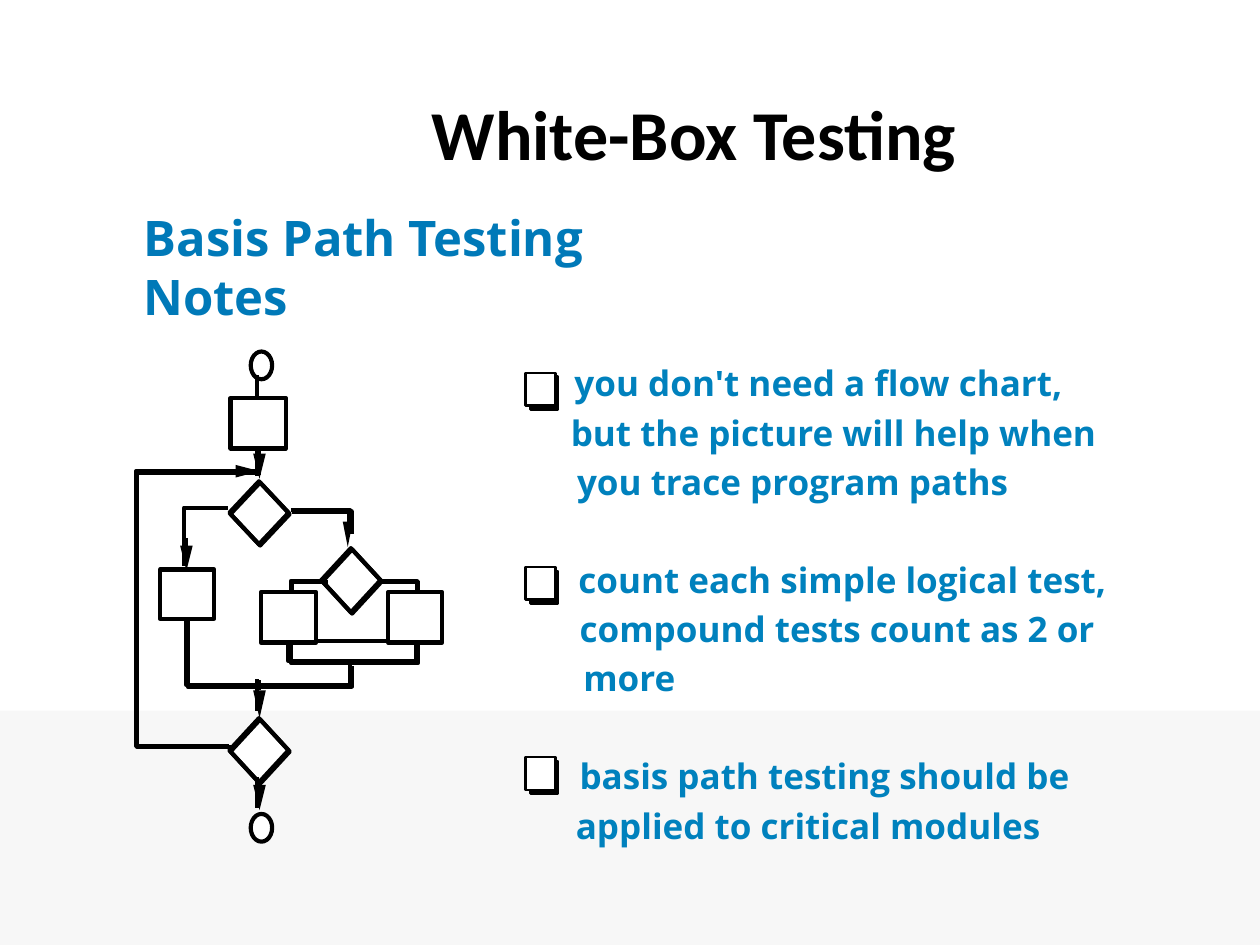
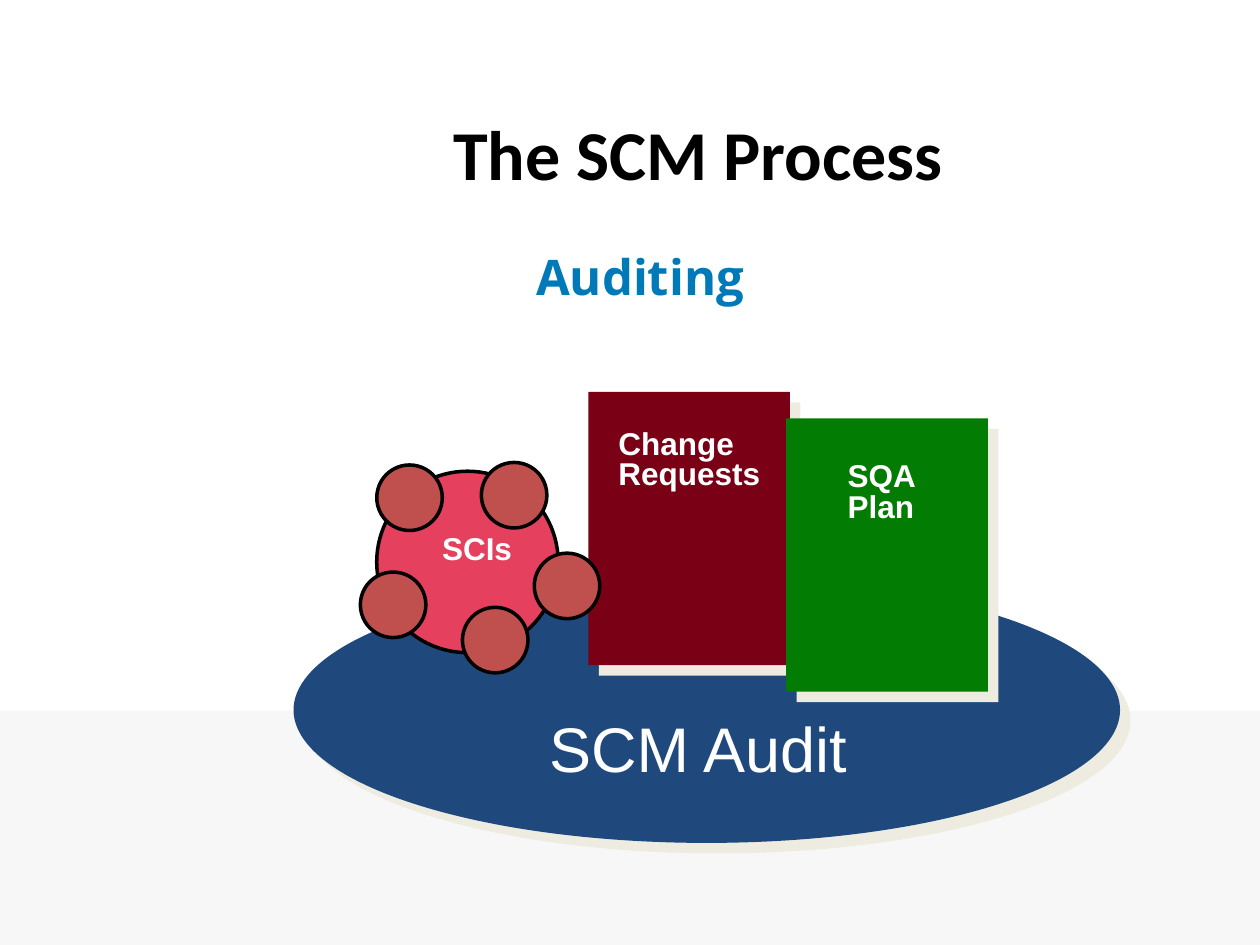
from dataclasses import dataclass
from typing import NamedTuple, Optional

from lxml.etree import SubElement
from pptx import Presentation
from pptx.dml.color import RGBColor
from pptx.enum.shapes import MSO_CONNECTOR, MSO_SHAPE
from pptx.enum.text import MSO_ANCHOR, MSO_AUTO_SIZE, PP_ALIGN
from pptx.oxml.ns import qn
from pptx.util import Inches, Pt


class TextStyle(NamedTuple):
    name: str
    size: float
    color: str
    bold: bool = True
    spacing: float = 1.0
    inset: tuple[float, float] = (0.1, 0.05)


@dataclass(frozen=True)
class Theme:
    black: str = "000000"
    white: str = "FFFFFF"
    band: str = "F7F7F7"
    shadow: str = "EEECE1"
    platform: str = "1F497D"
    requests: str = "790015"
    plan: str = "037C03"
    core: str = "E5405D"
    item: str = "C0504D"
    thick: float = 2.38
    medium: float = 2
    thin: float = 1.39
    heading: TextStyle = TextStyle("Calibri", 40, "000000")
    title: TextStyle = TextStyle("Open Sans", 28, "0079B8", inset=(0.07, 0.03))
    note: TextStyle = TextStyle("Open Sans", 20, "0081BD", spacing=0.9, inset=(0, 0))
    label: TextStyle = TextStyle("Arial", 18, "FFFFFF")
    card: TextStyle = TextStyle("Arial", 18, "FFFFFF", spacing=0.8)
    caption: TextStyle = TextStyle("Arial", 36, "FFFFFF", bold=False)


THEME = Theme()
Point = tuple[float, float]


class Frame(NamedTuple):
    left: float
    top: float
    width: float
    height: float

    def moved(self, distance: float) -> "Frame":
        return self._replace(left=self.left + distance, top=self.top + distance)


class Line(NamedTuple):
    color: str
    width: float


class Arrow(NamedTuple):
    """A filled head ending at tip, with a thin stem behind it."""
    tip: Point
    length: float
    half_width: float
    stem: float
    rightward: bool = False


class NoteLine(NamedTuple):
    left: float
    width: float
    text: str


class Note(NamedTuple):
    marker_top: float
    first_row: int
    lines: list[NoteLine]


class Card(NamedTuple):
    frame: Frame
    color: str
    text_frame: Frame
    text: str


STROKE = Line(THEME.black, THEME.thick)
THIN = Line(THEME.black, THEME.thin)
OUTLINE = Line(THEME.black, THEME.medium)
ECHO = -0.01  # distance to the second stroke of a heavy outline
NOTE_TOP, NOTE_PITCH = 2.91, 0.39

DIAMONDS = [Frame(2.56, 4.36, 0.47, 0.51), Frame(1.83, 3.83, 0.47, 0.5),
            Frame(1.83, 5.71, 0.47, 0.51)]
TERMINALS = [Frame(1.99, top, 0.17, 0.22) for top in (2.79, 6.46)]
STEPS = [Frame(1.83, 3.16, 0.44, 0.4), Frame(2.07, 4.7, 0.44, 0.4),
         Frame(3.08, 4.7, 0.43, 0.4), Frame(1.27, 4.52, 0.43, 0.39)]
INNER_JOIN = Frame(2.29, 5.09, 1.01, 0.16)
LEFT_BRANCH = [(1.81, 4.03), (1.46, 4.03), (1.46, 4.49)]
HEAVY_PATHS = [
    [(2.32, 4.06), (2.79, 4.06), (2.79, 4.24)],
    [(3.03, 4.62), (3.32, 4.62), (3.32, 4.87)],
    [(2.6, 4.62), (2.32, 4.62), (2.32, 4.95)],
    [(1.83, 5.93), (1.09, 5.93), (1.09, 3.75), (2.07, 3.75)],
    [(2.79, 5.29), (2.79, 5.45), (1.49, 5.45), (1.49, 4.92)],
]
INNER_JOIN_PATH = [(2.31, 5.11), (2.31, 5.26), (3.32, 5.26), (3.32, 5.11)]
FLOW_X = 2.04
FLOW_SPANS = [(2.98, 3.78), (5.39, 5.64), (6.17, 6.41)]
ARROWS = [
    Arrow((2.06, 3.74), 0.19, 0.05, 0.02, rightward=True),
    Arrow((2.76, 4.34), 0.2, 0.04, 0.09),
    Arrow((1.48, 4.53), 0.2, 0.05, 0.06),
    Arrow((2.06, 5.7), 0.22, 0.05, 0.08),
    Arrow((2.06, 3.8), 0.2, 0.05, 0.02),
    Arrow((2.06, 6.43), 0.2, 0.05, 0.02),
]
NOTES = [
    Note(2.96, 0, [NoteLine(4.56, 3.96, "you don't need a flow chart,"),
                   NoteLine(4.53, 4.25, "but the picture will help when"),
                   NoteLine(4.58, 3.44, "you trace program paths")]),
    Note(4.5, 4, [NoteLine(4.59, 4.27, "count each simple logical test,"),
                  NoteLine(4.6, 4.16, "compound tests count as 2 or"),
                  NoteLine(4.63, 0.74, "more")]),
    Note(6.01, 8, [NoteLine(4.6, 3.96, "basis path testing should be"),
                   NoteLine(4.57, 3.69, "applied to critical modules")]),
]
CARDS = [
    Card(Frame(4.67, 3.11, 1.6, 2.17), THEME.requests,
         Frame(4.81, 3.37, 1.4, 0.58), "Change\nRequests"),
    Card(Frame(6.24, 3.32, 1.6, 2.17), THEME.plan,
         Frame(6.63, 3.63, 0.8, 0.58), "SQA\nPlan"),
]
ITEM_SIZE = 0.52
ITEMS = [(3.67, 4.82), (4.24, 4.39), (3.82, 3.67), (2.99, 3.69), (2.86, 4.54)]


def set_values(target, values: dict) -> None:
    for name, value in values.items():
        setattr(target, name, value)


def set_line(line_format, line: Line) -> None:
    line_format.color.rgb = RGBColor.from_string(line.color)
    line_format.width = Pt(line.width)


def paint(shape, fill: Optional[str], line: Optional[Line]) -> None:
    shape.shadow.inherit = False
    if fill:
        shape.fill.solid()
        shape.fill.fore_color.rgb = RGBColor.from_string(fill)
    else:
        shape.fill.background()
    if line:
        set_line(shape.line, line)
    else:
        shape.line.fill.background()


def add_shape(slide, kind, frame: Frame, fill: Optional[str] = None,
              line: Optional[Line] = None):
    shape = slide.shapes.add_shape(kind, *map(Inches, frame))
    paint(shape, fill, line)
    return shape


def add_path(slide, points: list[Point], fill: Optional[str] = None,
             line: Optional[Line] = None, closed: bool = False) -> None:
    start, *rest = [(Inches(x), Inches(y)) for x, y in points]
    builder = slide.shapes.build_freeform(*start)
    builder.add_line_segments(rest, close=closed)
    paint(builder.convert_to_shape(), fill, line)


def add_heavy_path(slide, points: list[Point]) -> None:
    for shift in (0, ECHO):
        add_path(slide, [(x + shift, y + shift) for x, y in points], line=STROKE)


def add_line(slide, start: Point, end: Point, line: Line) -> None:
    connector = slide.shapes.add_connector(
        MSO_CONNECTOR.STRAIGHT, *map(Inches, (*start, *end)))
    set_line(connector.line, line)
    SubElement(connector._element.spPr, qn("a:effectLst"))


def add_arrow(slide, arrow: Arrow) -> None:
    x, y = arrow.tip
    length, half = arrow.length, arrow.half_width
    if arrow.rightward:
        base, tail = (x - length, y), (x - length - arrow.stem, y)
        corners = [(x - length, y + half), (x - length, y - half)]
    else:
        base, tail = (x, y - length), (x, y - length - arrow.stem)
        corners = [(x - half, y - length), (x + half, y - length)]
    add_path(slide, [arrow.tip, *corners], fill=THEME.black, closed=True)
    add_line(slide, tail, base, THIN)


def add_shadow(shape) -> None:
    effects = shape._element.spPr.find(qn("a:effectLst"))
    shadow = SubElement(effects, qn("a:outerShdw"), dist=str(Pt(8.5)),
                        dir="2700000", algn="ctr", rotWithShape="0")
    SubElement(shadow, qn("a:srgbClr"), val=THEME.shadow)


def add_text(slide, frame: Frame, text: str, style: TextStyle, wrap: bool = False,
             align=PP_ALIGN.LEFT, anchor=MSO_ANCHOR.TOP, grow: bool = True) -> None:
    text_frame = slide.shapes.add_textbox(*map(Inches, frame)).text_frame
    side, edge = map(Inches, style.inset)
    set_values(text_frame, {
        "margin_left": side, "margin_right": side, "margin_top": edge,
        "margin_bottom": edge, "word_wrap": wrap, "vertical_anchor": anchor,
        "auto_size": MSO_AUTO_SIZE.SHAPE_TO_FIT_TEXT if grow else MSO_AUTO_SIZE.NONE,
        "text": text,
    })
    for paragraph in text_frame.paragraphs:
        set_values(paragraph, {"alignment": align, "line_spacing": style.spacing})
        set_values(paragraph.font, {
            "name": style.name, "size": Pt(style.size), "bold": style.bold})
        paragraph.font.color.rgb = RGBColor.from_string(style.color)


def new_slide(presentation, heading: str, heading_frame: Frame):
    """Add a blank slide with the lower band and the heading."""
    slide = presentation.slides.add_slide(presentation.slide_layouts[6])
    add_shape(slide, MSO_SHAPE.RECTANGLE, Frame(0, 5.64, 10, 1.86), THEME.band)
    add_text(slide, heading_frame, heading, THEME.heading, wrap=True)
    return slide


def draw_flow_chart(slide) -> None:
    for frame in DIAMONDS:
        add_shape(slide, MSO_SHAPE.DIAMOND, frame, THEME.white, STROKE)
        add_shape(slide, MSO_SHAPE.DIAMOND, frame.moved(ECHO), line=STROKE)
    for frame in TERMINALS:
        add_shape(slide, MSO_SHAPE.OVAL, frame, THEME.white, STROKE)
    for points in HEAVY_PATHS:
        add_heavy_path(slide, points)
    add_path(slide, LEFT_BRANCH, line=STROKE)
    add_path(slide, INNER_JOIN_PATH, line=STROKE)
    add_shape(slide, MSO_SHAPE.RECTANGLE, INNER_JOIN, line=STROKE)
    for top, bottom in FLOW_SPANS:
        add_line(slide, (FLOW_X, top), (FLOW_X, bottom), STROKE)
    for frame in STEPS:
        add_shape(slide, MSO_SHAPE.RECTANGLE, frame, THEME.white, STROKE)
    for arrow in ARROWS:
        add_arrow(slide, arrow)


def draw_note(slide, note: Note) -> None:
    marker = Frame(4.17, note.marker_top, 0.24, 0.26)
    backing = Frame(4.21, note.marker_top + 0.03, 0.22, 0.26)
    add_shape(slide, MSO_SHAPE.RECTANGLE, backing, THEME.black, THIN)
    add_shape(slide, MSO_SHAPE.RECTANGLE, marker, THEME.white, THIN)
    for row, line in enumerate(note.lines, note.first_row):
        frame = Frame(line.left, NOTE_TOP + row * NOTE_PITCH, line.width, 0.3)
        add_text(slide, frame, line.text, THEME.note)


def build_testing_slide(presentation) -> None:
    slide = new_slide(presentation, "White-Box Testing", Frame(3.33, 0.67, 6.08, 0.77))
    add_text(slide, Frame(1.07, 1.62, 4.86, 0.99), "Basis Path Testing Notes",
             THEME.title, wrap=True)
    draw_flow_chart(slide)
    for note in NOTES:
        draw_note(slide, note)


def build_audit_slide(presentation) -> None:
    slide = new_slide(presentation, "The SCM Process", Frame(3.5, 0.83, 6.17, 0.77))
    add_text(slide, Frame(1.54, 1.87, 7.08, 0.64), "Auditing", THEME.title, wrap=True,
             align=PP_ALIGN.CENTER, anchor=MSO_ANCHOR.MIDDLE, grow=False)
    add_shadow(add_shape(slide, MSO_SHAPE.OVAL, Frame(2.33, 4.58, 6.56, 2.11),
                         THEME.platform))
    for card in CARDS:
        add_shadow(add_shape(slide, MSO_SHAPE.RECTANGLE, card.frame, card.color))
        add_text(slide, card.text_frame, card.text, THEME.card)
    add_shape(slide, MSO_SHAPE.OVAL, Frame(2.99, 3.74, 1.44, 1.44), THEME.core, OUTLINE)
    add_text(slide, Frame(3.41, 4.15, 0.82, 0.4), "SCIs", THEME.label)
    for left, top in ITEMS:
        add_shape(slide, MSO_SHAPE.OVAL, Frame(left, top, ITEM_SIZE, ITEM_SIZE),
                  THEME.item, OUTLINE)
    add_text(slide, Frame(4.26, 5.58, 2.59, 0.7), "SCM Audit", THEME.caption)


def main() -> None:
    presentation = Presentation()
    set_values(presentation, {"slide_width": Inches(10), "slide_height": Inches(7.5)})
    build_testing_slide(presentation)
    build_audit_slide(presentation)
    presentation.save("out.pptx")


if __name__ == "__main__":
    main()
